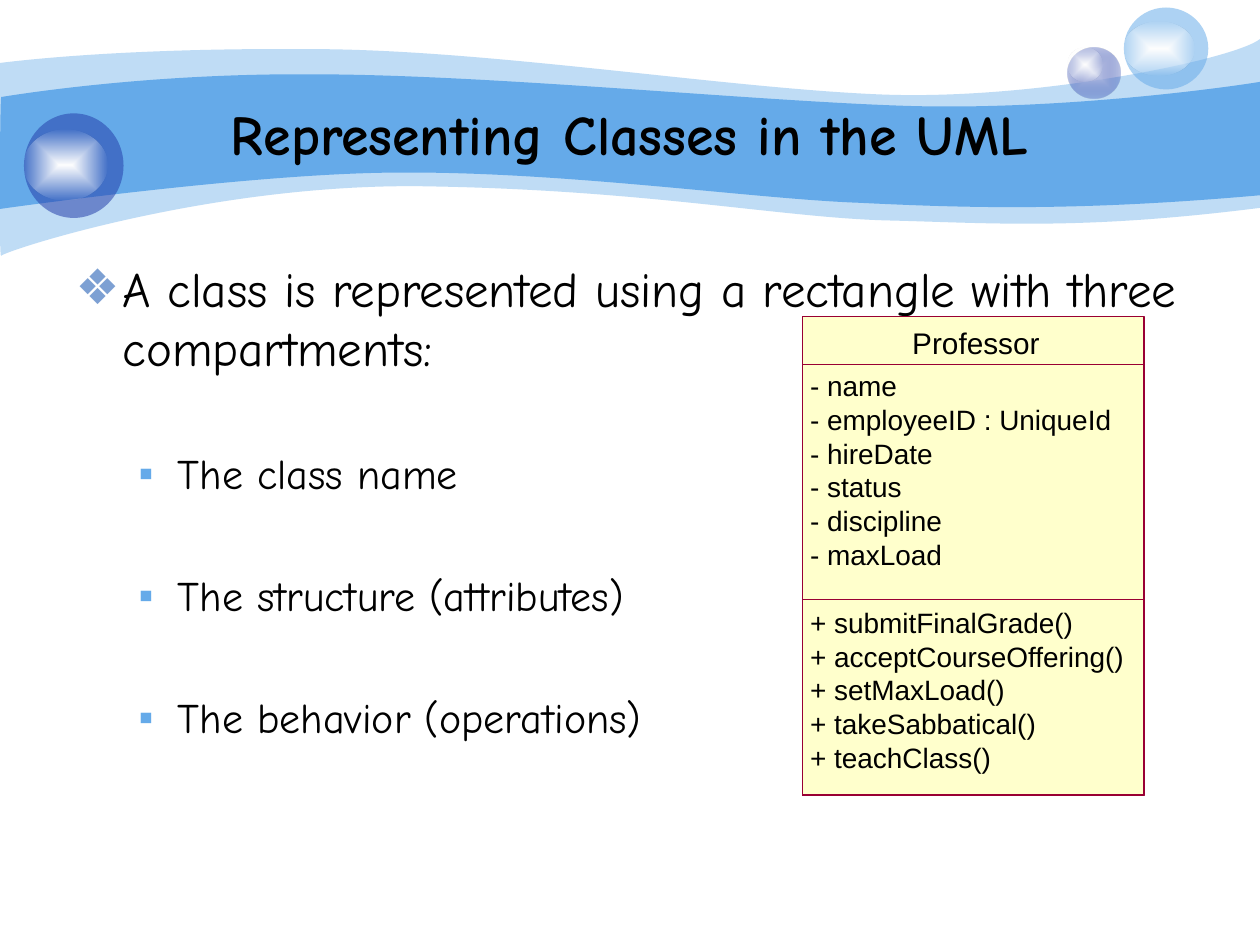
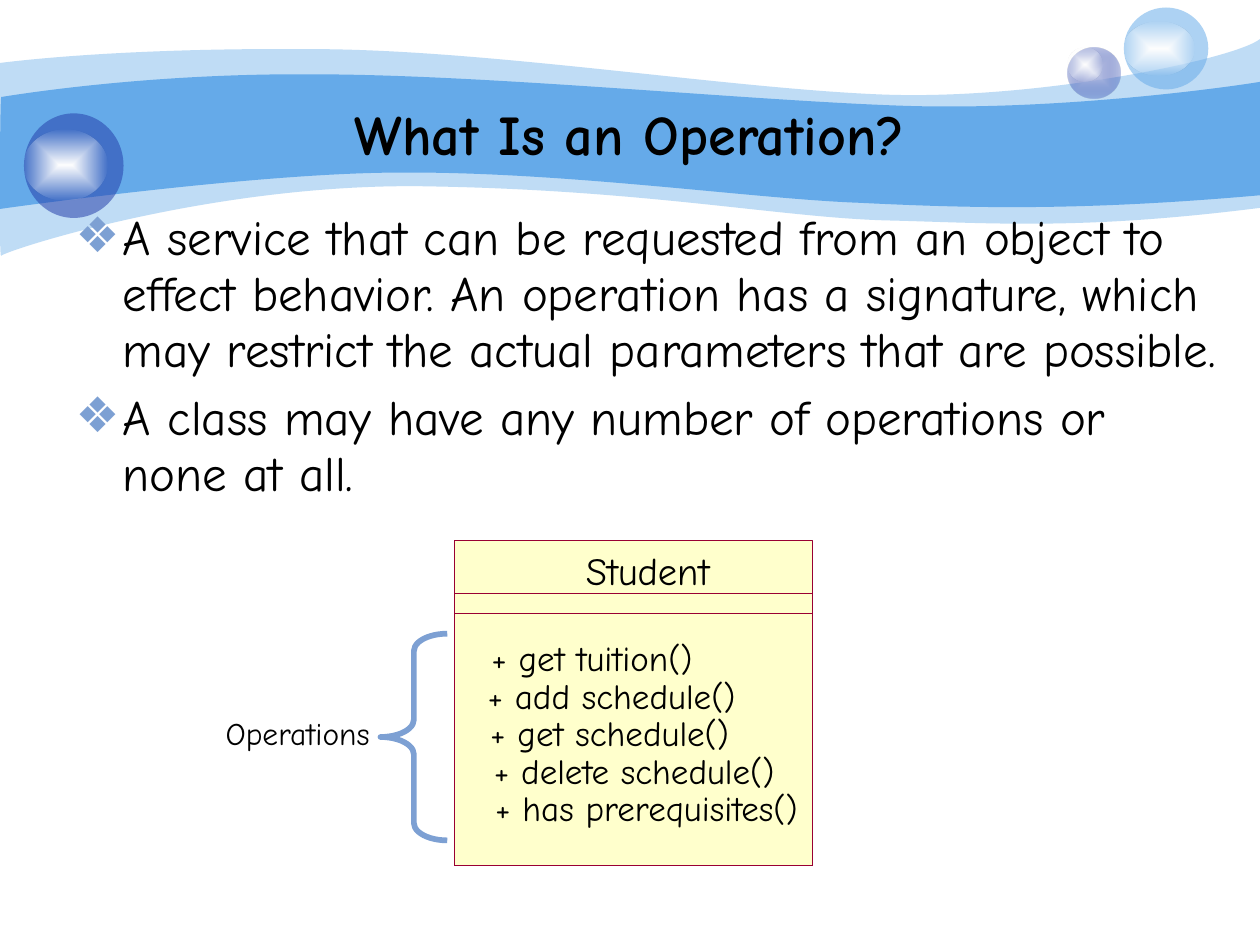
"""Build two slides on UML classes and operations."""
from pptx import Presentation
from pptx.dml.color import RGBColor
from pptx.enum.shapes import MSO_SHAPE
from pptx.enum.text import MSO_ANCHOR, MSO_AUTO_SIZE, PP_ALIGN
from pptx.oxml import parse_xml
from pptx.oxml.ns import nsdecls
from pptx.util import Inches, Pt

RECT, OVAL, BRACE = MSO_SHAPE.RECTANGLE, MSO_SHAPE.OVAL, MSO_SHAPE.LEFT_BRACE
MIDDLE, TOP = MSO_ANCHOR.MIDDLE, MSO_ANCHOR.TOP
CENTER, LEFT = PP_ALIGN.CENTER, PP_ALIGN.LEFT
FIXED = MSO_AUTO_SIZE.NONE

BLACK = RGBColor(0, 0, 0)
WHITE = RGBColor(0xFF, 0xFF, 0xFF)
SKY = RGBColor(0x65, 0xAA, 0xE9)
NAVY = RGBColor(0x23, 0x3D, 0xA9)
PALE = RGBColor(0xC7, 0xCE, 0xE9)
STEEL = RGBColor(0x7D, 0xA0, 0xD3)
CREAM = RGBColor(0xFF, 0xFF, 0xCC)
WINE = RGBColor(0x99, 0, 0x33)
HAND, SANS = "Comic Neue", "Arial"
WIDE, HIGH = 10, 7.5

LEVELS = [
    dict(mark="❖", tint=STEEL, left=3 / 8, hang=-3 / 8, size=28),
    dict(mark="▪", tint=SKY, left=0.81, hang=-0.31, size=24),
]
SLIDES = [
    dict(
        title="Representing Classes in the UML",
        area=(0.5, 2, 9, 4.92), pitch=None, gaps=(7, 41),
        points=[
            (0, "A class is represented using a rectangle with three compartments:"),
            (1, "The class name"),
            (1, "The structure (attributes)"),
            (1, "The behavior (operations)"),
        ],
        card=dict(
            area=(6.37, 2.51, 2.71, 3.8), cuts=(0.38, 2.25), font=SANS,
            name=("Professor", 0.87, 0.07, 17), size=16, pitch=19.4,
            lists=[
                (0.06, 0.41, [
                    ("- name", 0), ("- employeeID : UniqueId", 0),
                    ("- hireDate", 0), ("- status", 0),
                    ("- discipline", 0), ("- maxLoad", 0)]),
                (0.06, 2.29, [
                    ("+ submitFinalGrade()", 0),
                    ("+ acceptCourseOffering()", 0), ("+ setMaxLoad()", 0),
                    ("+ takeSabbatical()", 0), ("+ teachClass()", 0)]),
            ],
        ),
    ),
    dict(
        title="What Is an Operation?",
        area=(0.5, 1.61, 9.28, 2.92), pitch=32, gaps=(7, 6),
        points=[
            (0, "A service that can be requested from an object to effect "
                "behavior. An operation has a signature, which may restrict "
                "the actual parameters that are possible."),
            (0, "A class may have any number of operations or none at all."),
        ],
        card=dict(
            area=(3.61, 4.29, 2.84, 2.58), cuts=(0.42, 0.58), font=HAND,
            name=("Student", 1.04, 0.05, 22), size=20, pitch=21.4,
            lists=[
                (0.26, 0.8, [
                    ("+ get tuition()", 0.03), ("+ add schedule()", 0),
                    ("+ get schedule()", 0.02), ("+ delete schedule()", 0.05),
                    ("+ has prerequisites()", 0.06)]),
            ],
        ),
        brace=(3.02, 5.03, 0.53, 1.64), label=("Operations", 1.79, 5.67, 18),
    ),
]

WAVES = [
    ([(SKY, 41)], (0, 0.5), [
        (0.24, 0.47, 1.07, 0.38, 2.47, 0.39),
        (3.86, 0.39, 5.75, 0.7, 6.99, 0.75),
        (8.22, 0.8, 9.8, 0.47, 10, 0.31),
        (10, 1.65),
        (8.58, 1.83, 7.87, 1.77, 7.05, 1.75),
        (6.22, 1.73, 5.15, 1.51, 3.43, 1.48),
        (1.72, 1.44, 0.04, 1.99, 0.01, 2.03),
        (-0.01, 2.08, 0, 0.75, 0, 0.5)]),
    ([(SKY, 100)], (0.01, 0.77), [
        (0.02, 0.77, 1.1, 0.58, 2.48, 0.59),
        (3.86, 0.59, 5.95, 0.8, 7.18, 0.84),
        (8.41, 0.88, 9.76, 0.69, 10, 0.65),
        (10, 1.55),
        (8.53, 1.68, 7.65, 1.65, 6.82, 1.61),
        (5.99, 1.58, 4.47, 1.36, 3.17, 1.37),
        (2.03, 1.37, -0.02, 1.66, -0.01, 1.66),
        (0, 1.66, 0, 0.77, 0.01, 0.77)]),
]
GLOW = [(WHITE, 100), (WHITE, 0)]
BUBBLES = [
    ((8.47, 0.38, 0.42, 0.4), [(PALE, 100), (NAVY, 31)]),
    ((8.47, 0.38, 0.28, 0.27), GLOW),
    ((8.92, 0.06, 0.67, 0.65), [(SKY, 53)]),
    ((8.92, 0.17, 0.56, 0.43), GLOW),
    ((0.19, 0.9, 0.79, 0.83), [(NAVY, 53)]),
    ((0.19, 1.03, 0.66, 0.56), GLOW),
]


def emu(area):
    return [Inches(v) for v in area]


def paint(shape, stops):
    """Fill with one colour, or with a gradient from the centre."""
    inks = [f'<a:srgbClr val="{c}"><a:alpha val="{a * 1000}"/></a:srgbClr>'
            for c, a in stops]
    if len(inks) == 1:
        xml = f'<a:solidFill {nsdecls("a")}>{inks[0]}</a:solidFill>'
    else:
        steps = "".join(f'<a:gs pos="{i * 100000}">{ink}</a:gs>'
                        for i, ink in enumerate(inks))
        xml = (f'<a:gradFill {nsdecls("a")}><a:gsLst>{steps}</a:gsLst>'
               '<a:path path="rect"><a:fillToRect l="50000" t="50000" '
               'r="50000" b="50000"/></a:path></a:gradFill>')
    shape.fill.background()
    props = shape.element.spPr
    props.replace(props.find("{*}noFill"), parse_xml(xml))
    shape.line.fill.background()
    shape.shadow.inherit = False


def draw_wave(shapes, start, bends):
    """Outline the ends of the bends, then round each curved side."""
    pen = shapes.build_freeform(*emu(start))
    pen.add_line_segments([emu(bend[-2:]) for bend in bends], close=True)
    wave = pen.convert_to_shape()
    sides = wave.element.findall(".//{*}lnTo")
    for side, bend in zip(sides, bends):
        if len(bend) == 6:
            dots = "".join(
                f'<a:pt x="{Inches(x) - wave.left}" y="{Inches(y) - wave.top}"/>'
                for x, y in zip(bend[::2], bend[1::2]))
            side.getparent().replace(side, parse_xml(
                f'<a:cubicBezTo {nsdecls("a")}>{dots}</a:cubicBezTo>'))
    return wave


def back(slide, master):
    """Draw the band and bubbles and move them to the master."""
    parts = []
    for stops, start, bends in WAVES:
        parts.append(draw_wave(slide.shapes, start, bends))
        paint(parts[-1], stops)
    for area, stops in BUBBLES:
        parts.append(slide.shapes.add_shape(OVAL, *emu(area)))
        paint(parts[-1], stops)
    tree = master.placeholders[0].element.getparent()
    for i, part in enumerate(parts):
        part.element.nvSpPr.cNvPr.set("id", str(100 + i))
        tree.insert(2 + i, part.element)


def style(par, font, size, bold=False):
    par.font.name, par.font.size, par.font.bold = font, Pt(size), bold
    par.font.color.rgb = BLACK


def place(holder, area, anchor):
    holder.left, holder.top, holder.width, holder.height = emu(area)
    frame = holder.text_frame
    frame.auto_size, frame.vertical_anchor = FIXED, anchor
    return frame


def head(slide, text):
    par = place(slide.shapes.title, (0, 0.1 * HIGH, WIDE, 0.62), MIDDLE).paragraphs[0]
    par.text, par.alignment = text, CENTER
    style(par, HAND, 32, True)


def body(slide, data):
    frame = place(slide.placeholders[1], data["area"], TOP)
    for i, (rank, text) in enumerate(data["points"]):
        par = frame.add_paragraph() if i else frame.paragraphs[0]
        look = LEVELS[rank]
        par.text, par.level, par.alignment = text, rank, LEFT
        props = par._p.get_or_add_pPr()
        props.set("marL", str(Inches(look["left"])))
        props.set("indent", str(Inches(look["hang"])))
        for xml in (f'<a:buClr {nsdecls("a")}><a:srgbClr val="{look["tint"]}"/></a:buClr>',
                    f'<a:buFont {nsdecls("a")} typeface="{SANS}"/>',
                    f'<a:buChar {nsdecls("a")} char="{look["mark"]}"/>'):
            props.append(parse_xml(xml))
        par.space_before = Pt(data["gaps"][rank] if i else 0)
        if data["pitch"]:
            par.line_spacing = Pt(data["pitch"])
        style(par, HAND, look["size"])


def write(slide, area, rows, font, size, pitch=None):
    """Add a text box without margins, one indented row per entry."""
    frame = slide.shapes.add_textbox(*emu(area)).text_frame
    frame.margin_left = frame.margin_right = 0
    frame.margin_top = frame.margin_bottom = 0
    frame.word_wrap = False
    for i, (text, shift) in enumerate(rows):
        par = frame.add_paragraph() if i else frame.paragraphs[0]
        par.text = text
        if shift:
            par._p.get_or_add_pPr().set("marL", str(Inches(shift)))
        if pitch:
            par.line_spacing = Pt(pitch)
        style(par, font, size)


def draw_card(slide, card):
    x, y, wide, high = card["area"]
    for cut in (0, *card["cuts"]):
        part = slide.shapes.add_shape(RECT, *emu((x, y + cut, wide, high - cut)))
        part.shadow.inherit = False
        if cut:
            part.fill.background()
        else:
            part.fill.solid()
            part.fill.fore_color.rgb = CREAM
        part.line.color.rgb, part.line.width = WINE, Pt(0)
    name, dx, dy, size = card["name"]
    write(slide, (x + dx, y + dy, 1.2, 0.3), [(name, 0)], card["font"], size)
    for dx, dy, rows in card["lists"]:
        area = x + dx, y + dy, wide - dx, len(rows) * card["pitch"] / 72
        write(slide, area, rows, card["font"], card["size"], card["pitch"])


def draw_brace(slide, area, label):
    brace = slide.shapes.add_shape(BRACE, *emu(area))
    brace.adjustments[0] = 0.26
    brace.fill.background()
    brace.line.color.rgb, brace.line.width = STEEL, Pt(3.25)
    brace.shadow.inherit = False
    text, x, y, size = label
    write(slide, (x, y, 1.2, 0.3), [(text, 0)], HAND, size)


def main():
    deck = Presentation()
    deck.slide_width, deck.slide_height = emu((WIDE, HIGH))
    for i, data in enumerate(SLIDES):
        slide = deck.slides.add_slide(deck.slide_layouts[1])
        if i == 0:
            back(slide, deck.slide_master)
        head(slide, data["title"])
        body(slide, data)
        if "brace" in data:
            draw_brace(slide, data["brace"], data["label"])
        draw_card(slide, data["card"])
    deck.save("out.pptx")


if __name__ == "__main__":
    main()
